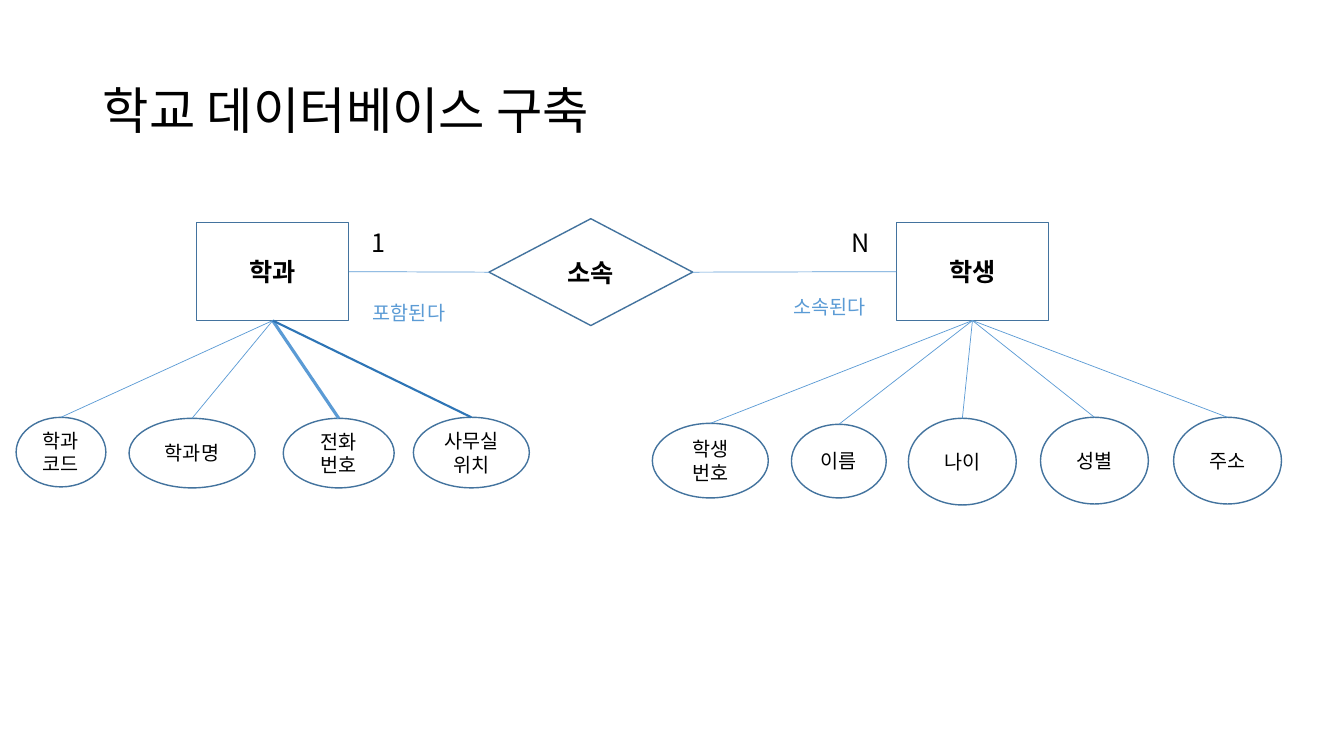
"""Builds a slide with the entity-relationship diagram of a school database."""
import pptx
import pptx.dml.color
import pptx.enum.shapes
import pptx.enum.text
import pptx.oxml.ns
import pptx.util
import lxml.etree

Inches, Pt = pptx.util.Inches, pptx.util.Pt
MSO = pptx.enum.shapes.MSO_SHAPE
ALIGN = pptx.enum.text.PP_ALIGN
ANCHOR = pptx.enum.text.MSO_ANCHOR
qn = pptx.oxml.ns.qn

THEME = {
    "font": "Noto Sans CJK KR",
    "ink": "000000", "paper": "FFFFFF", "outline": "43739E",
    "link": "5B9BD5", "strong": "2E75B6",
    "title": 36, "entity": 18, "attribute": 14,
    "thin": 0.5, "border": 1, "medium": 1.5, "thick": 2.25,
}

TITLE = ("학교 데이터베이스 구축", (0.92, 0.4, 11.5, 1.45))
RELATION = ("소속", (4.85, 2.17, 2.02, 1.06))
ENTITIES = [
    {"name": "학과", "box": (1.95, 2.21, 1.51, 0.97), "attributes": [
        ("학과코드", (0.16, 4.14, 0.89, 0.69), "link", "thin"),
        ("학과명", (1.28, 4.15, 1.25, 0.69), "link", "thin"),
        ("전화\n번호", (2.81, 4.15, 1.1, 0.69), "link", "thick"),
        ("사무실\n위치", (4.1, 4.14, 1.15, 0.7), "strong", "medium"),
    ]},
    {"name": "학생", "box": (8.89, 2.21, 1.51, 0.97), "attributes": [
        ("학생\n번호", (6.47, 4.2, 1.15, 0.74), "link", "thin"),
        ("이름", (7.85, 4.21, 0.94, 0.73), "link", "thin"),
        ("나이", (9.01, 4.15, 1.07, 0.86), "link", "thin"),
        ("성별", (10.32, 4.14, 1.07, 0.86), "link", "thin"),
        ("주소", (11.64, 4.14, 1.07, 0.86), "link", "thin"),
    ]},
]
LABELS = [
    ("1", (3.59, 2.21, 0.51, 0.42), "entity", "ink"),
    ("포함된다", (3.6, 2.94, 1.26, 0.34), "attribute", "link"),
    ("N", (8.35, 2.21, 0.44, 0.42), "entity", "ink"),
    ("소속된다", (7.77, 2.88, 1.14, 0.34), "attribute", "link"),
]
TOP, LEFT, BOTTOM, RIGHT = range(4)


def rgb(name):
    return pptx.dml.color.RGBColor.from_string(THEME[name])


def place(box):
    return [Inches(v) for v in box]


def write(sp, text, size, color="ink", bold=False, align=ALIGN.LEFT,
          anchor=ANCHOR.TOP, spacing=1.0):
    tf = sp.text_frame
    tf.word_wrap, tf.vertical_anchor, tf.text = True, anchor, text
    for p in tf.paragraphs:
        p.alignment, p.line_spacing = align, spacing
        for r in p.runs:
            formats = {"name": THEME["font"], "size": Pt(THEME[size]), "bold": bold}
            for key, value in formats.items():
                setattr(r.font, key, value)
            r.font.color.rgb = rgb(color)
            ea = lxml.etree.Element(qn("a:ea"), typeface=THEME["font"])
            r.font._element.find(qn("a:latin")).addnext(ea)


def add_node(kind, text, box, size, bold=False):
    sp = s.shapes.add_shape(kind, *place(box))
    sp.shadow.inherit = False
    sp.fill.solid()
    sp.fill.fore_color.rgb = rgb("paper")
    sp.line.color.rgb = rgb("outline")
    sp.line.width = Pt(THEME["border"])
    write(sp, text, size, bold=bold, align=ALIGN.CENTER, anchor=ANCHOR.MIDDLE)
    return sp


def link(start, start_site, end, end_site, color="link", width="thin"):
    line = s.shapes.add_connector(pptx.enum.shapes.MSO_CONNECTOR.STRAIGHT, 0, 0, 0, 0)
    line.begin_connect(start, start_site)
    line.end_connect(end, end_site)
    line.line.color.rgb = rgb(color)
    line.line.width = Pt(THEME[width])
    lxml.etree.SubElement(line._element.spPr, qn("a:effectLst"))


prs = pptx.Presentation()
prs.slide_width, prs.slide_height = Inches(13.33), Inches(7.5)
s = prs.slides.add_slide(prs.slide_layouts[5])

text, box = TITLE
title = s.shapes.title
title.left, title.top, title.width, title.height = place(box)
write(title, text, "title", anchor=ANCHOR.MIDDLE, spacing=0.9)

relation = add_node(MSO.FLOWCHART_DECISION, *RELATION, "entity", bold=True)
entities = []
for item in ENTITIES:
    entity = add_node(MSO.RECTANGLE, item["name"], item["box"], "entity", bold=True)
    entities.append(entity)
    for text, box, color, width in item["attributes"]:
        attribute = add_node(MSO.OVAL, text, box, "attribute")
        link(attribute, TOP, entity, BOTTOM, color, width)

department, student = entities
link(department, RIGHT, relation, LEFT)
link(relation, RIGHT, student, LEFT)

for text, box, size, color in LABELS:
    write(s.shapes.add_textbox(*place(box)), text, size, color)

prs.save("out.pptx")
